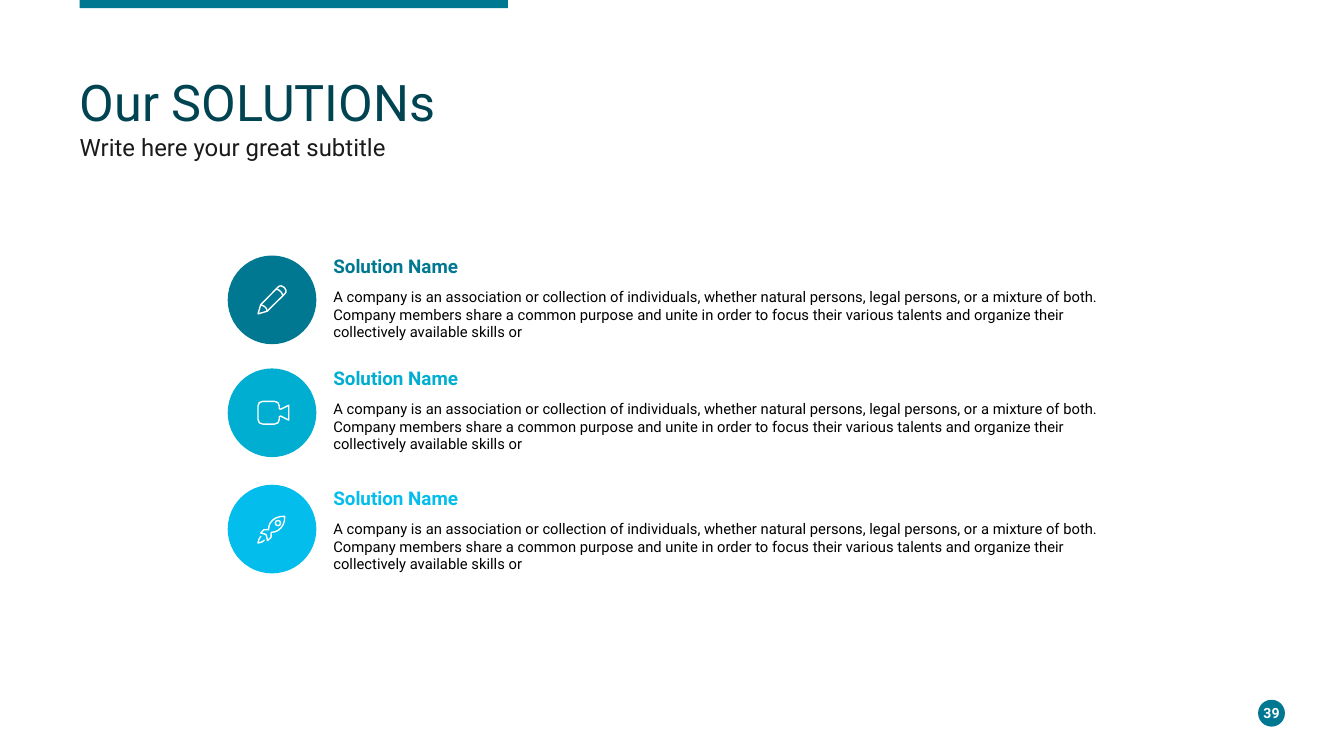
from pptx import Presentation
from pptx.dml.color import RGBColor
from pptx.enum.shapes import MSO_SHAPE
from pptx.enum.text import MSO_ANCHOR, PP_ALIGN
from pptx.util import Pt

TITLE = "Our SOLUTIONs"
SUBTITLE = "Write here your great subtitle"
PAGE = "39"
DESCRIPTION = (
    "A company is an association or collection of individuals, whether natural persons, "
    "legal persons, or a mixture of both. Company members share a common purpose and unite "
    "in order to focus their various talents and organize their collectively available skills or"
)

PENCIL = [
    ([(-61, 26), (32, -68), (40, -74), (50, -75), (66, -66), (75, -50), (74, -40), (68, -32),
      (-26, 61), (-75, 75)], True),
    ([(-61, 26), (-42, 34), (-31, 45), (-26, 61)], False),
    ([(22, -58), (38, -52), (51, -39), (58, -22)], False),
]
CAMERA = [
    ([(-50, -61), (14, -61), (32, -54), (39, -36), (39, -22), (46, -18), (90, -40), (90, 40),
      (46, 18), (39, 22), (39, 36), (32, 54), (14, 61), (-50, 61), (-68, 54), (-75, 36),
      (-75, -36), (-68, -54)], True),
]
ROCKET = [
    ([(68, -68), (45, -67), (22, -60), (4, -48), (-10, -32), (-16, -15), (-18, 3), (-43, 4),
      (-61, 21), (-35, 28), (-30, 34), (-24, 62), (-5, 45), (-4, 18), (15, 15), (32, 8),
      (48, -6), (60, -24), (67, -45)], True),
    ([(-59, 38), (-70, 55), (-75, 75), (-55, 70), (-39, 59)], False),
    ([(46, -32), (42, -22), (32, -18), (22, -22), (18, -32), (22, -42), (32, -46), (42, -42)], True),
]

SOLUTIONS = [
    {"name": "Solution Name", "color": "teal", "icon": PENCIL, "circle_top": 136.9, "name_top": 133.8},
    {"name": "Solution Name", "color": "cyan", "icon": CAMERA, "circle_top": 197.4, "name_top": 193.8},
    {"name": "Solution Name", "color": "sky", "icon": ROCKET, "circle_top": 259.7, "name_top": 258},
]

THEME = {
    "font": "Roboto",
    "colors": {"teal": "007891", "cyan": "00AED2", "sky": "03BDEC", "title": "004452",
               "subtitle": "1A1A1A", "text": "000000", "white": "FFFFFF"},
    "sizes": {"title": 27, "subtitle": 12.8, "name": 10.1, "description": 7.9, "page": 7.5},
    "icon_line": 0.75,
}

MARGIN = 42.7
CIRCLE_LEFT, CIRCLE_SIZE = 122, 47.5
TEXT_LEFT, TEXT_WIDTH = 173.2, 424.8
NAME_HEIGHT, DESCRIPTION_HEIGHT = 17.7, 33.8
TEXT_INSETS = (5.4, 2.7)


def theme_color(name):
    """Return a theme color by name."""
    return RGBColor.from_string(THEME["colors"][name])


def add_filled(slide, preset, left, top, width, height, color):
    """Add a preset shape with a plain fill."""
    shape = slide.shapes.add_shape(preset, Pt(left), Pt(top), Pt(width), Pt(height))
    shape.shadow.inherit = False
    shape.fill.solid()
    shape.fill.fore_color.rgb = theme_color(color)
    shape.line.fill.background()


def add_text(slide, text, box, size, color, bold=False, insets=(0, 0), spacing=None,
             align=PP_ALIGN.LEFT, anchor=MSO_ANCHOR.TOP):
    """Add one wrapped paragraph of text."""
    frame = slide.shapes.add_textbox(*map(Pt, box)).text_frame
    frame.word_wrap = True
    frame.vertical_anchor = anchor
    frame.margin_left = frame.margin_right = Pt(insets[0])
    frame.margin_top = frame.margin_bottom = Pt(insets[1])
    paragraph = frame.paragraphs[0]
    paragraph.text = text
    paragraph.alignment = align
    if spacing:
        paragraph.line_spacing = spacing
    font = paragraph.font
    font.name = THEME["font"]
    font.size = Pt(THEME["sizes"][size])
    font.bold = bold
    font.color.rgb = theme_color(color)


def add_icon(slide, strokes, center_x, center_y):
    """Draw strokes given in tenths of a point around a center."""
    builder = slide.shapes.build_freeform(*strokes[0][0][0], scale=Pt(1) / 10)
    for points, closed in strokes:
        builder.move_to(*points[0])
        builder.add_line_segments(points[1:], close=closed)
    icon = builder.convert_to_shape(Pt(center_x), Pt(center_y))
    icon.shadow.inherit = False
    icon.fill.background()
    icon.line.color.rgb = theme_color("white")
    icon.line.width = Pt(THEME["icon_line"])


def add_solution(slide, solution):
    """Add the circle, icon, name and description of a solution."""
    top, name_top = solution["circle_top"], solution["name_top"]
    add_filled(slide, MSO_SHAPE.OVAL, CIRCLE_LEFT, top, CIRCLE_SIZE, CIRCLE_SIZE, solution["color"])
    add_icon(slide, solution["icon"], CIRCLE_LEFT + CIRCLE_SIZE / 2, top + CIRCLE_SIZE / 2)
    add_text(slide, solution["name"], (TEXT_LEFT, name_top, TEXT_WIDTH, NAME_HEIGHT),
             "name", solution["color"], bold=True, insets=TEXT_INSETS)
    add_text(slide, DESCRIPTION,
             (TEXT_LEFT, name_top + NAME_HEIGHT, TEXT_WIDTH, DESCRIPTION_HEIGHT),
             "description", "text", insets=TEXT_INSETS)


def main():
    """Build the solutions slide."""
    deck = Presentation()
    deck.slide_width, deck.slide_height = Pt(720), Pt(405)
    slide = deck.slides.add_slide(deck.slide_layouts[6])

    add_filled(slide, MSO_SHAPE.RECTANGLE, MARGIN, 0, 229.5, 4.4, "teal")
    add_text(slide, TITLE, (MARGIN, 41.8, 627.8, 31), "title", "title", spacing=0.9)
    add_text(slide, SUBTITLE, (MARGIN, 72.7, 231.8, 11.5), "subtitle", "subtitle", spacing=0.9)
    for solution in SOLUTIONS:
        add_solution(slide, solution)
    add_filled(slide, MSO_SHAPE.OVAL, 674, 374.9, 14.4, 14.4, "teal")
    add_text(slide, PAGE, (670.4, 376.2, 21.6, 11.8), "page", "white", bold=True,
             align=PP_ALIGN.CENTER, anchor=MSO_ANCHOR.MIDDLE)

    deck.save("out.pptx")


if __name__ == "__main__":
    main()
